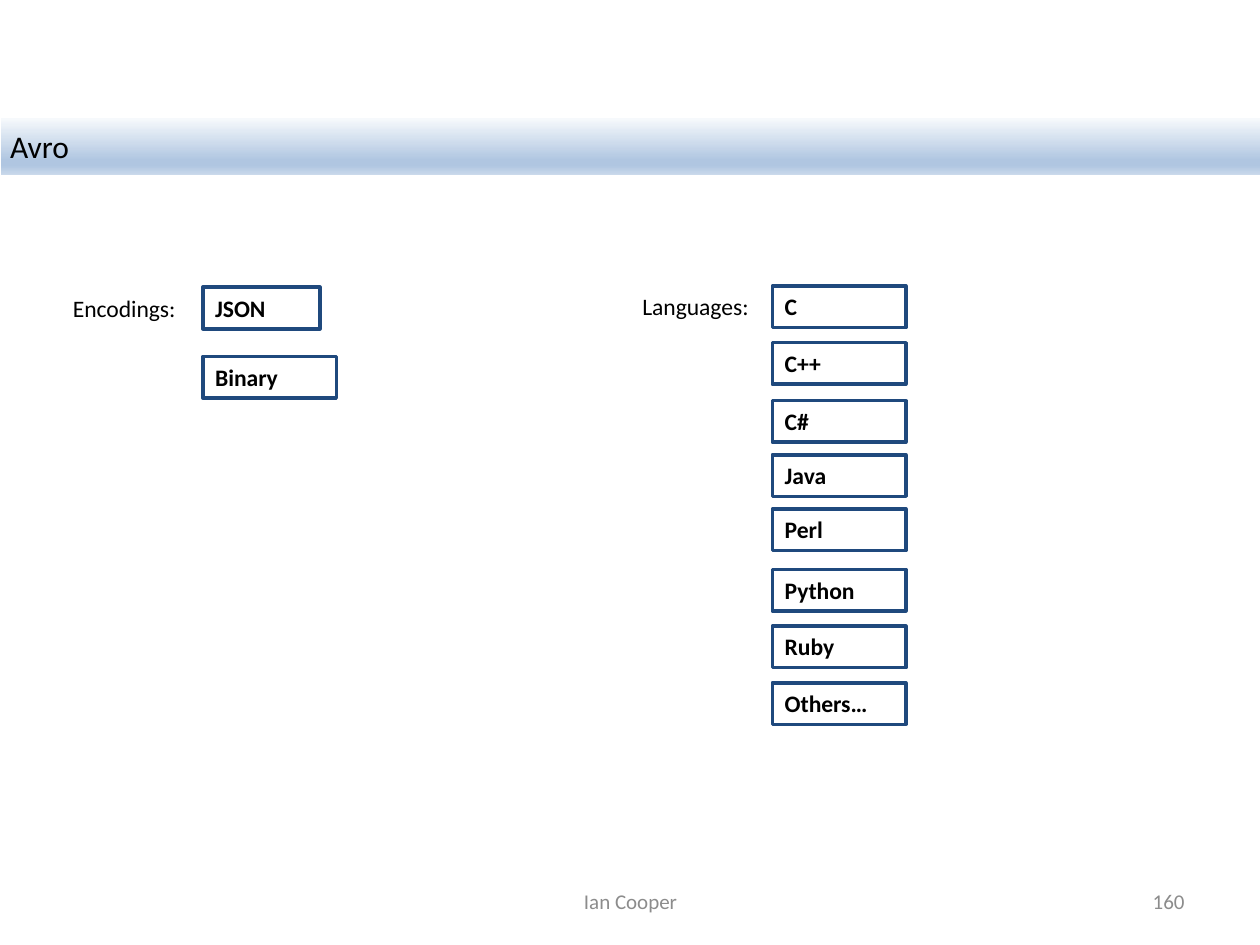
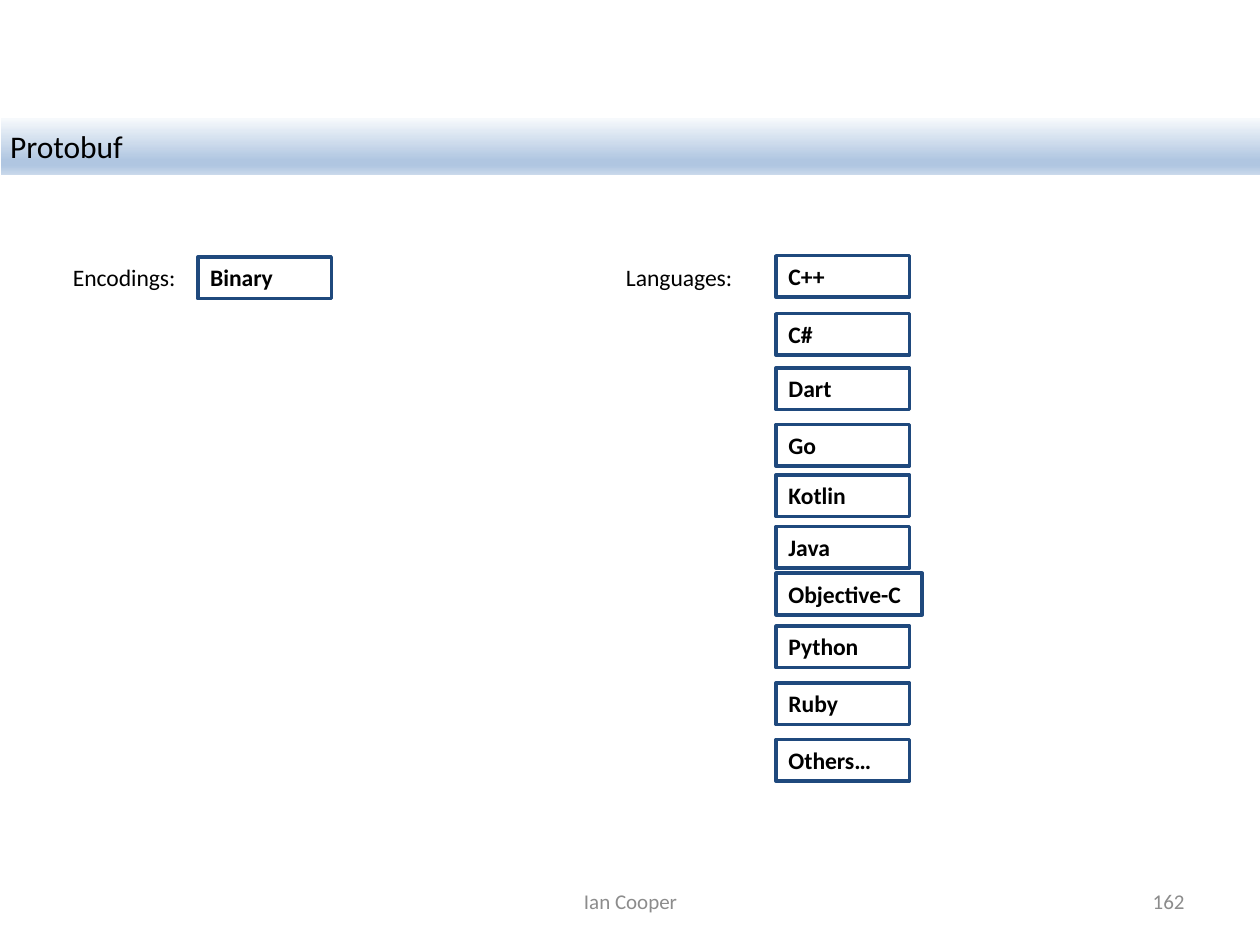
from dataclasses import dataclass

from lxml import etree
from pptx import Presentation
from pptx.dml.color import RGBColor
from pptx.enum import shapes, text
from pptx.oxml.ns import qn
from pptx.util import Inches, Pt

FONT = "Calibri"
COLORS = {
    "ink": "000000",
    "footer": "8C8C8C",
    "border": "1F497D",
    "band_light": "F6F9FC",
    "band_deep": "B0C6E1",
    "band_end": "CAD9EB",
}
BAND_STOPS = [(0, "band_light"), (74, "band_deep"), (83, "band_deep"), (100, "band_end")]
ROW_HEIGHT = 0.33
BOX_WIDTH = 1.06


@dataclass
class Entry:
    name: str
    top: float
    width: float = BOX_WIDTH


@dataclass
class Column:
    label: str
    label_left: float
    label_top: float
    label_width: float
    box_left: float
    entries: list[Entry]


@dataclass
class FormatPage:
    title: str
    number: str
    columns: list[Column]


PAGES = [
    FormatPage("Avro", "160", [
        Column("Encodings:", 0.48, 2.28, 1.03, 1.61,
               [Entry("JSON", 2.28, 0.93), Entry("Binary", 2.83)]),
        Column("Languages:", 5, 2.27, 1.06, 6.13,
               [Entry("C", 2.27), Entry("C++", 2.72), Entry("C#", 3.18),
                Entry("Java", 3.61), Entry("Perl", 4.04), Entry("Python", 4.52),
                Entry("Ruby", 4.97), Entry("Others…", 5.42)]),
    ]),
    FormatPage("Protobuf", "162", [
        Column("Encodings:", 0.48, 2.04, 1.03, 1.57, [Entry("Binary", 2.04)]),
        Column("Languages:", 4.87, 2.04, 1.06, 6.16,
               [Entry("C++", 2.03), Entry("C#", 2.49), Entry("Dart", 2.92),
                Entry("Go", 3.37), Entry("Kotlin", 3.77), Entry("Java", 4.18),
                Entry("Objective-C", 4.55, 1.16), Entry("Python", 4.97),
                Entry("Ruby", 5.42), Entry("Others…", 5.87)]),
    ]),
]


def write(shape, words: str, size: float, color: str = "ink", bold: bool = False,
          align=text.PP_ALIGN.LEFT, anchor=text.MSO_ANCHOR.TOP, wrap: bool = True,
          grow: bool = True) -> None:
    """Put one formatted line of text into a shape."""
    frame = shape.text_frame
    frame.text = words
    frame.word_wrap = wrap
    frame.vertical_anchor = anchor
    if grow:
        frame.auto_size = text.MSO_AUTO_SIZE.SHAPE_TO_FIT_TEXT
    line = frame.paragraphs[0]
    line.alignment = align
    font = line.runs[0].font
    font.name, font.size, font.bold = FONT, Pt(size), bold
    font.color.rgb = RGBColor.from_string(COLORS[color])


def add_rectangle(slide, left: float, top: float, width: float, height: float):
    rectangle = slide.shapes.add_shape(
        shapes.MSO_SHAPE.RECTANGLE,
        Inches(left), Inches(top), Inches(width), Inches(height))
    rectangle.shadow.inherit = False
    return rectangle


def add_label(slide, left: float, top: float, width: float, height: float):
    return slide.shapes.add_textbox(
        Inches(left), Inches(top), Inches(width), Inches(height))


def add_title_band(slide, title: str) -> None:
    band = add_rectangle(slide, 0.01, 0.94, 9.99, 0.45)
    band.line.fill.background()
    band.fill.gradient()
    band.fill.gradient_angle = 270
    # Replace the default stops with the four of the band
    stops = band._element.spPr.find(qn("a:gradFill")).find(qn("a:gsLst"))
    for stop in list(stops):
        stops.remove(stop)
    for percent, color in BAND_STOPS:
        stop = etree.SubElement(stops, qn("a:gs"), pos=str(percent * 1000))
        etree.SubElement(stop, qn("a:srgbClr"), val=COLORS[color])
    frame = band.text_frame
    frame.margin_left = frame.margin_right = Inches(0.07)
    frame.margin_top = frame.margin_bottom = Inches(0.07)
    write(band, title, 18)


def add_footer(slide, number: str) -> None:
    for words, left, width, align in (
            ("Ian Cooper", 3.42, 3.17, text.PP_ALIGN.CENTER),
            (number, 7.17, 2.33, text.PP_ALIGN.RIGHT)):
        write(add_label(slide, left, 6.95, width, 0.4), words, 12, "footer",
              align=align, anchor=text.MSO_ANCHOR.MIDDLE, grow=False)


def add_column(slide, column: Column) -> None:
    label = add_label(slide, column.label_left, column.label_top,
                      column.label_width, ROW_HEIGHT)
    write(label, column.label, 13.5, wrap=False)
    for entry in column.entries:
        box = add_rectangle(slide, column.box_left, entry.top, entry.width, ROW_HEIGHT)
        box.fill.background()
        box.line.color.rgb = RGBColor.from_string(COLORS["border"])
        box.line.width = Pt(2)
        write(box, entry.name, 13.5, bold=True)


def main() -> None:
    deck = Presentation()
    deck.slide_width, deck.slide_height = Inches(10), Inches(7.5)
    for page in PAGES:
        slide = deck.slides.add_slide(deck.slide_layouts[6])
        add_footer(slide, page.number)
        add_title_band(slide, page.title)
        for column in page.columns:
            add_column(slide, column)
    deck.save("out.pptx")


if __name__ == "__main__":
    main()
